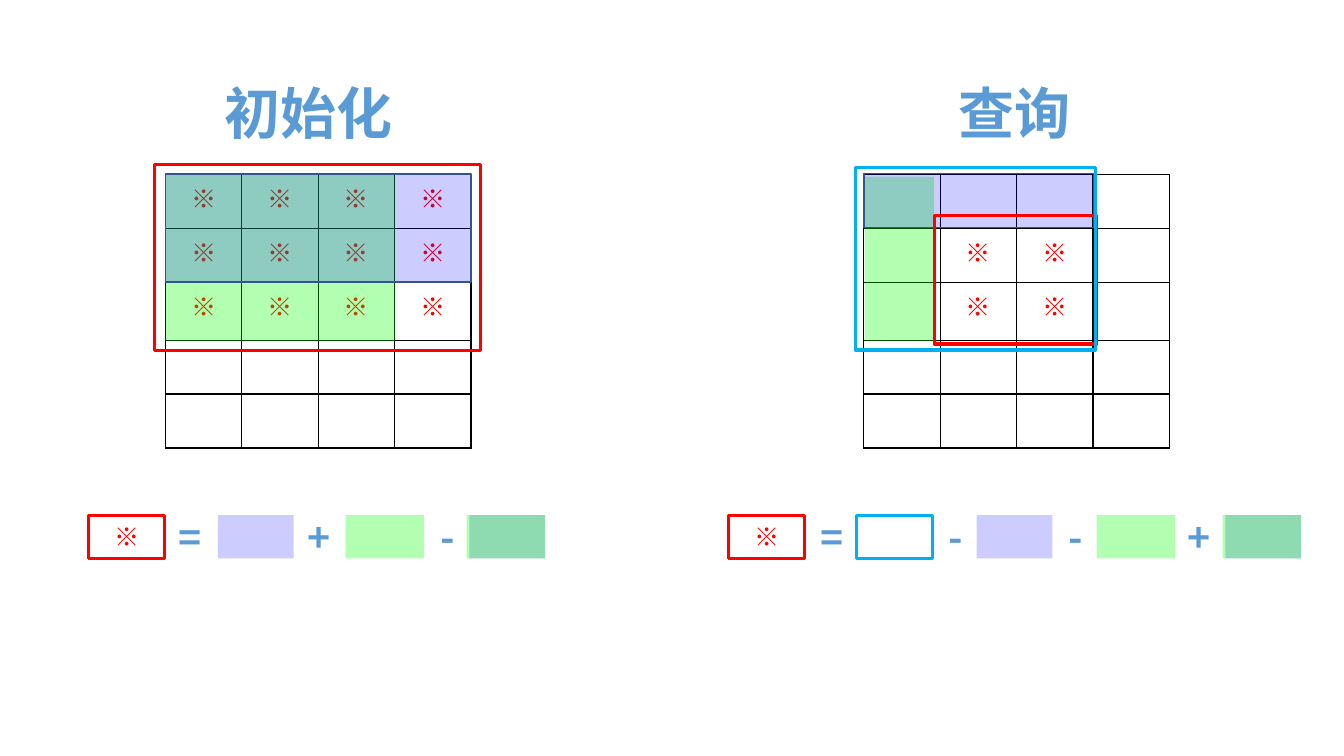
from lxml.etree import SubElement
from pptx import Presentation
from pptx.dml.color import RGBColor
from pptx.enum.shapes import MSO_SHAPE
from pptx.enum.text import PP_ALIGN
from pptx.oxml.ns import qn
from pptx.util import Cm, Pt

HUES = {
    "ink": "000000", "red": "FF0000", "sky": "00B0F0", "edge": "325491",
    "blue": "0000FF", "green": "00FF00", "title": "5B9BD5",
}
ALPHA = {"blue": 20, "green": 30}
FONT = "Noto Sans CJK SC"
MARK = "※"
ROWS = [1.36, 1.36, 1.46, 1.36, 1.36]
COL = 1.925
TOP = 4.39


def write(frame, text, size=18, hue="red", bold=False):
    para = frame.paragraphs[0]
    para.alignment = PP_ALIGN.CENTER
    run = para.add_run()
    run.text = text
    font = run.font
    font.size, font.bold, font.name = Pt(size), bold, FONT
    font.color.rgb = RGBColor.from_string(HUES[hue])
    SubElement(font._element, qn("a:ea"), typeface=FONT)


class Board:
    def __init__(self, slide):
        self.slide = slide
        self.home()

    def home(self):
        self.pen = self.slide.shapes

    def group(self):
        self.pen = self.slide.shapes.add_group_shape().shapes

    def rect(self, x, y, w, h, fill=None, line=None, width=2.25):
        box = self.pen.add_shape(MSO_SHAPE.RECTANGLE, Cm(x), Cm(y), Cm(w), Cm(h))
        box.shadow.inherit = False
        if fill:
            box.fill.solid()
            box.fill.fore_color.rgb = RGBColor.from_string(HUES[fill])
            tint = box.fill._xPr.find(".//" + qn("a:srgbClr"))
            SubElement(tint, qn("a:alpha"), val=str(ALPHA[fill] * 1000))
        else:
            box.fill.background()
        if line:
            box.line.color.rgb = RGBColor.from_string(HUES[line])
            box.line.width = Pt(width)
        else:
            box.line.fill.background()

    def text(self, x, y, w, h, text, wrap=False, **form):
        box = self.pen.add_textbox(Cm(x), Cm(y), Cm(w), Cm(h))
        box.text_frame.word_wrap = wrap
        write(box.text_frame, text, **form)

    def grid(self, x, marks, strong=()):
        """Table with a mark in each (row, column) of marks."""
        frame = self.pen.add_table(5, 4, Cm(x), Cm(TOP), Cm(4 * COL), Cm(sum(ROWS)))
        table = frame.table
        table.first_row = table.horz_banding = False
        for col in table.columns:
            col.width = Cm(COL)
        for r, high in enumerate(ROWS):
            table.rows[r].height = Cm(high)
            for c in range(4):
                cell = table.cell(r, c)
                self.border(cell)
                cell.fill.background()
                if (r, c) in marks:
                    write(cell.text_frame, MARK, bold=r in strong)

    def border(self, cell):
        props = cell._tc.get_or_add_tcPr()
        for side in ("lnL", "lnR", "lnT", "lnB"):
            line = SubElement(props, qn("a:" + side), w=str(Pt(1)))
            fill = SubElement(line, qn("a:solidFill"))
            SubElement(fill, qn("a:srgbClr"), val=HUES["ink"])

    def sum(self, terms):
        """Row of (x, term) pairs: key boxes and signs."""
        self.group()
        y, h = 12.98, 1.09
        for x, term in terms:
            if term == "mark":
                self.rect(x, y, 1.91, h, line="red")
                self.text(x + 0.21, 13, 1.5, 1.03, MARK, wrap=True)
            elif term == "sky":
                self.rect(x, y, 1.91, h, line="sky")
            elif term == "blue":
                self.rect(x, y, 1.91, h, fill="blue")
            elif term == "green":
                self.rect(x, y, 1.98, h, fill="green")
            elif term == "both":
                self.rect(x + 0.07, y, 1.91, h, fill="blue")
                self.rect(x, y, 1.98, h, fill="green")
            else:
                wide = 1.02 if term == "-" else 1.22
                self.text(x, 12.8, wide, 1.45, term, size=28, hue="title", bold=True)
        self.home()


def main():
    deck = Presentation()
    deck.slide_width, deck.slide_height = Cm(33.87), Cm(19.05)
    board = Board(deck.slides.add_slide(deck.slide_layouts[6]))

    # Set-up: prefix sums
    board.grid(4.17, {(r, c) for r in range(3) for c in range(4)}, strong=(0,))
    board.rect(4.17, TOP, 5.79, 4.21, fill="green")
    board.rect(4.17, TOP, 7.7, 2.72, fill="blue", line="edge", width=1)
    board.rect(3.89, 4.14, 8.23, 4.7, line="red")
    board.text(5.38, 1.85, 4.78, 1.96, "初始化", size=40, hue="title", bold=True)
    board.sum([(2.24, "mark"), (4.19, "="), (5.49, "blue"), (7.44, "+"),
               (8.71, "green"), (10.77, "-"), (11.76, "both")])

    # Query: inner block
    board.grid(21.77, {(r, c) for r in (1, 2) for c in (1, 2)})
    board.rect(21.79, 4.45, 1.75, 4.14, fill="green")
    board.rect(21.77, 4.37, 5.79, 1.37, fill="blue", line="edge", width=1)
    board.rect(23.55, 5.44, 4.09, 3.23, line="red")
    board.text(23.9, 1.85, 3.35, 1.96, "查询", size=40, hue="title", bold=True)
    board.rect(21.56, 4.22, 6.05, 4.6, line="sky")
    board.sum([(18.36, "mark"), (20.35, "="), (21.59, "sky"), (23.57, "-"),
               (24.61, "blue"), (26.59, "-"), (27.64, "green"), (29.62, "+"),
               (30.81, "both")])

    deck.save("out.pptx")


if __name__ == "__main__":
    main()
